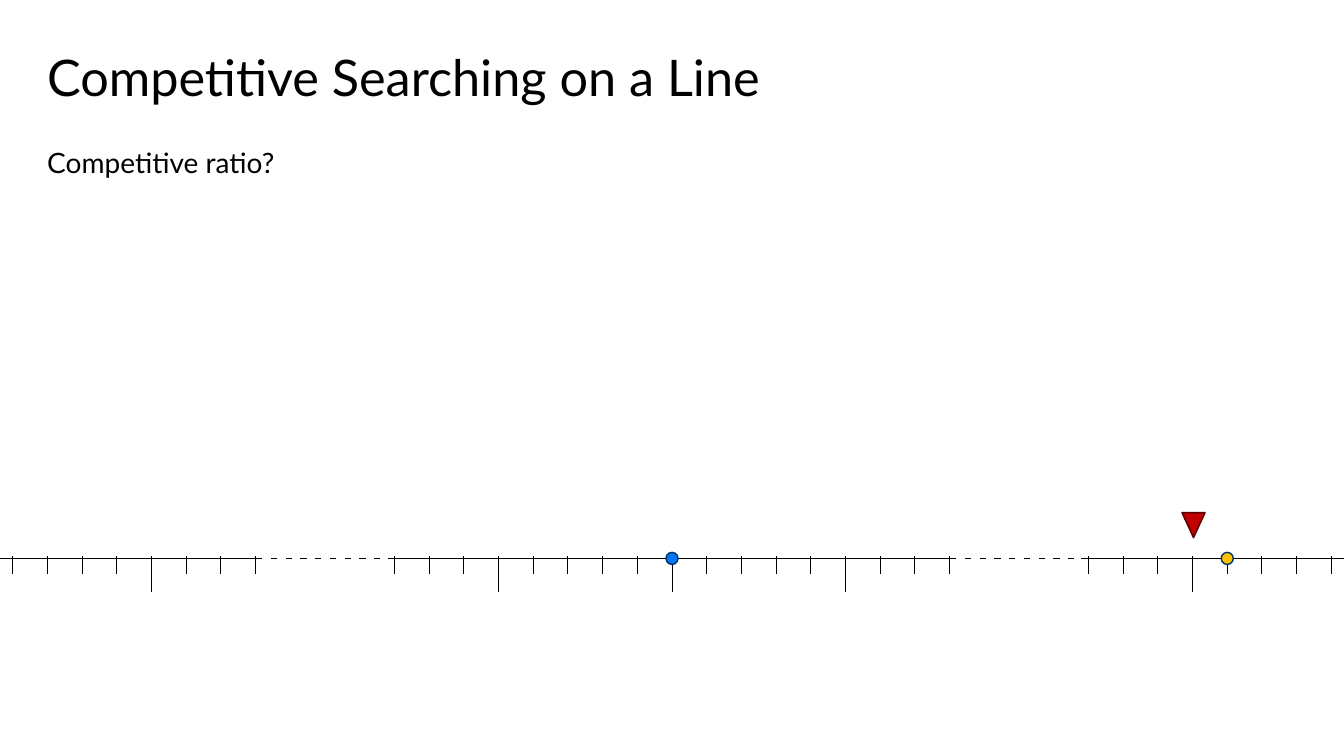
from lxml.etree import SubElement
from pptx import Presentation
from pptx.dml.color import RGBColor
from pptx.enum.dml import MSO_LINE_DASH_STYLE as DASH
from pptx.enum.shapes import MSO_CONNECTOR, MSO_SHAPE
from pptx.enum.text import MSO_ANCHOR
from pptx.oxml.ns import qn
from pptx.util import Inches, Pt

SLIDE_W, SLIDE_H = 13.33, 7.5
BLACK, WHITE, NAVY = "000000", "FFFFFF", "00336C"
STEP = 4.13 / 12
TICKS_PER_SIDE = 19
GAP = (9, 10, 11)
LONG_TICKS = (0, 5, 15)


def rgb(color):
    """Turn a hex string into a colour."""
    return RGBColor.from_string(color)


def add_text(s, box, text, size, anchor=MSO_ANCHOR.TOP, spacing=1.0):
    """Place one paragraph of text in the box."""
    tf = s.shapes.add_textbox(*map(Inches, box)).text_frame
    tf.word_wrap = True
    tf.vertical_anchor = anchor
    tf.text = text
    p = tf.paragraphs[0]
    p.line_spacing = spacing
    f = p.runs[0].font
    f.name, f.size = "Lato", Pt(size)
    f.color.rgb = rgb(BLACK)


def add_line(s, x1, y1, x2, y2, color=BLACK, width=0.62):
    """Draw a straight line and return it."""
    c = s.shapes.add_connector(MSO_CONNECTOR.STRAIGHT, *map(Inches, (x1, y1, x2, y2)))
    c.line.color.rgb = rgb(color)
    c.line.width = Pt(width)
    SubElement(c._element.spPr, qn("a:effectLst"))
    return c


def add_marker(s, kind, x, y, w, h, fill, line):
    """Draw a filled marker centred on the point and return it."""
    sp = s.shapes.add_shape(kind, *map(Inches, (x - w / 2, y - h / 2, w, h)))
    sp.shadow.inherit = False
    sp.fill.solid()
    sp.fill.fore_color.rgb = rgb(fill)
    sp.line.color.rgb = rgb(line)
    sp.line.width = Pt(1)
    return sp


def add_heading(s, left, top, width):
    """Place the title and the question under it."""
    add_text(s, (left, top, width, 0.79), "Competitive Searching on a Line", 36,
             MSO_ANCHOR.MIDDLE, 0.9)
    add_text(s, (left, top + 0.99, width, 5.71), "Competitive ratio?", 20)


def add_number_line(s, left, y, width):
    """Draw the search line with its ticks, gaps, start, target and searcher."""
    origin = left + width / 2
    add_line(s, left, y, left + width, y)
    for k in range(-TICKS_PER_SIDE, TICKS_PER_SIDE + 1):
        if abs(k) not in GAP:
            x = origin + k * STEP
            length = 0.35 if abs(k) in LONG_TICKS else 0.17
            add_line(s, x, y - 0.02, x, y - 0.02 + length)
    for k, fill in ((16, "FFC000"), (0, "0075F6")):
        add_marker(s, MSO_SHAPE.OVAL, origin + k * STEP, y, 0.12, 0.12, fill, NAVY)
    searcher = add_marker(s, MSO_SHAPE.ISOSCELES_TRIANGLE, origin + 15 * STEP + 0.01,
                          y - 0.33, 0.23, 0.25, "C00000", "540000")
    searcher.rotation = 180
    for middle in (origin - 10 * STEP, origin + 10 * STEP):
        dash = add_line(s, middle - 0.62, y, middle + 0.62, y, WHITE, 1.5)
        dash.line.dash_style = DASH.DASH


def main():
    """Build the slide and save it."""
    prs = Presentation()
    prs.slide_width, prs.slide_height = Inches(SLIDE_W), Inches(SLIDE_H)
    s = prs.slides.add_slide(prs.slide_layouts[6])
    add_heading(s, 0.37, 0.4, 12.6)
    add_number_line(s, 0, 5.54, SLIDE_W)
    prs.save("out.pptx")


if __name__ == "__main__":
    main()
